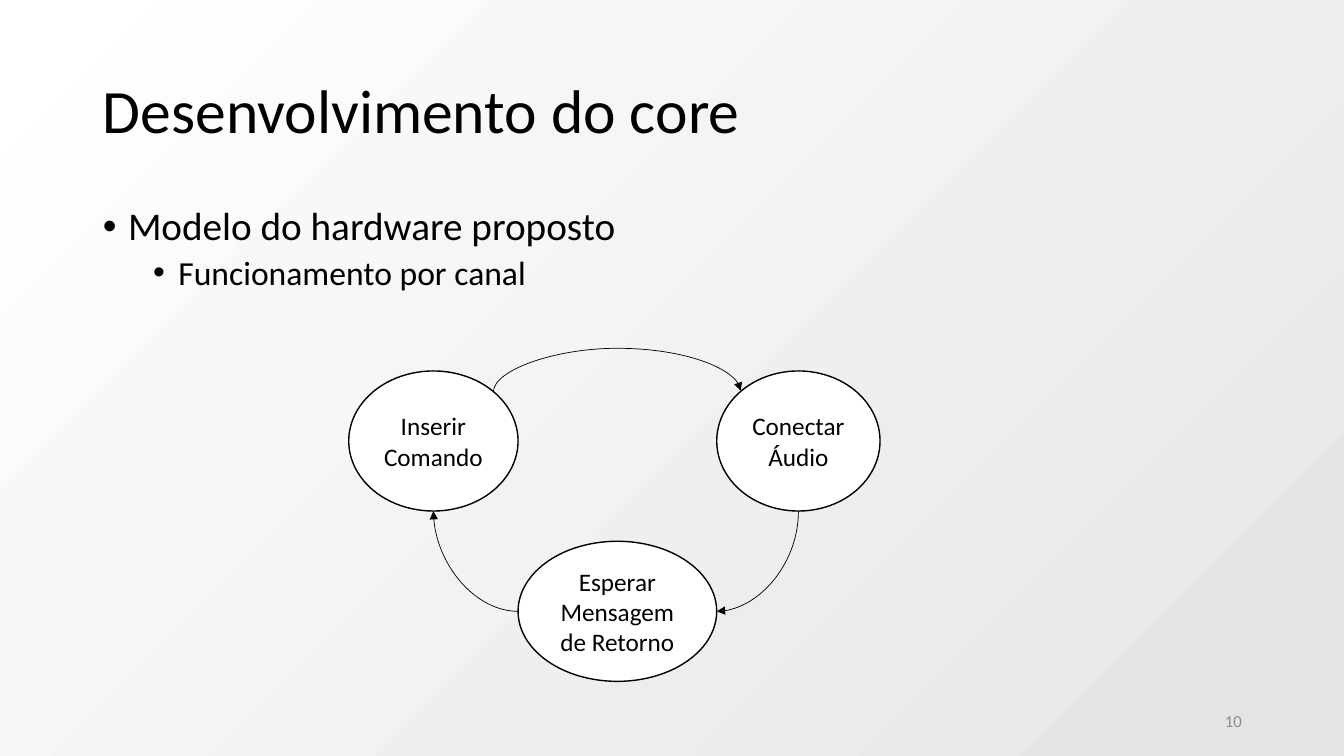
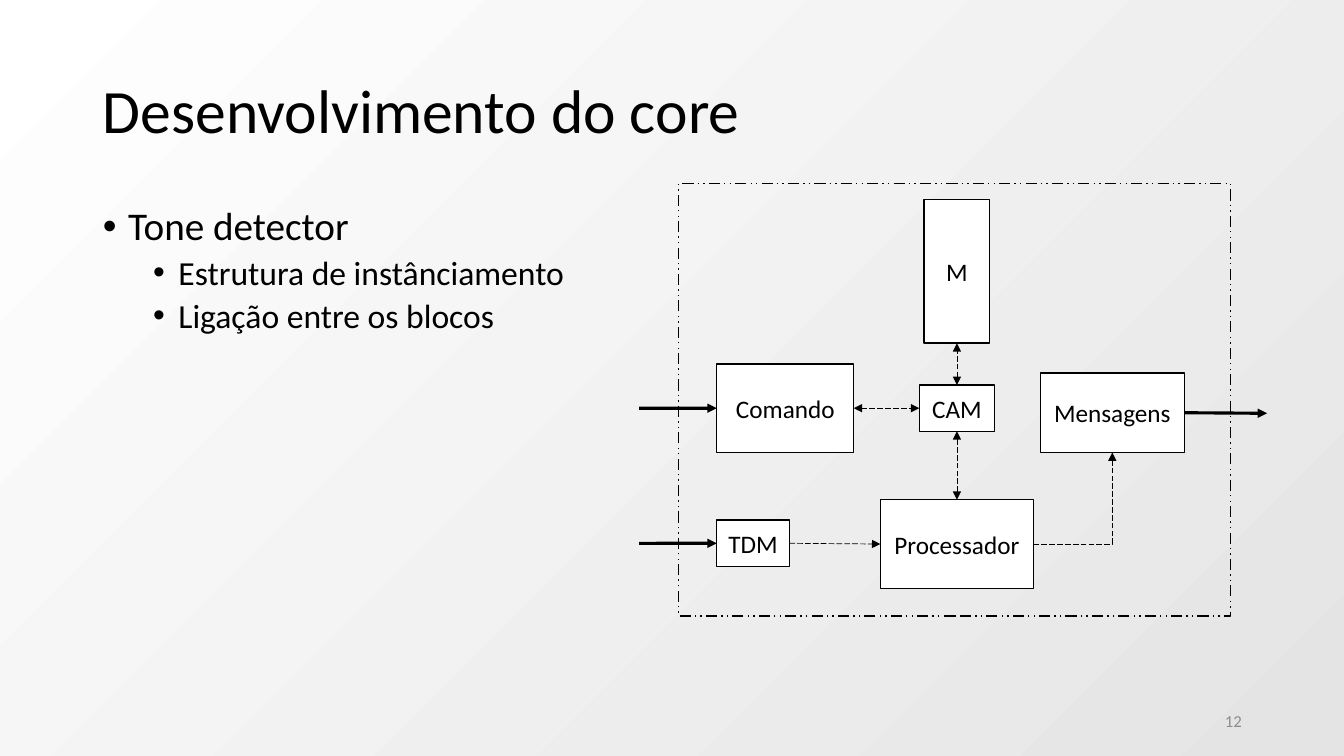
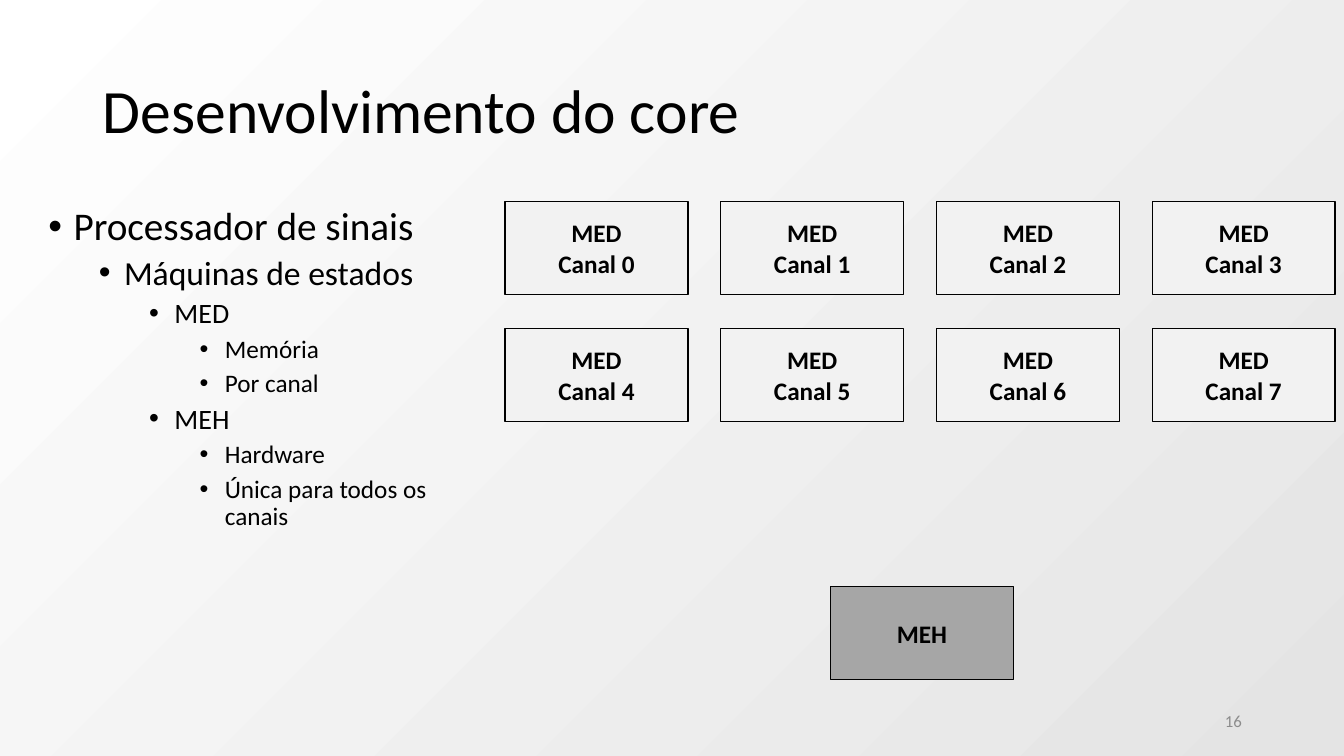
from lxml.etree import SubElement
from pptx import Presentation
from pptx.dml.color import RGBColor
from pptx.enum.dml import MSO_LINE as DASH
from pptx.enum.shapes import MSO_CONNECTOR as CONNECTOR, MSO_SHAPE as SHAPE
from pptx.enum.text import MSO_ANCHOR as ANCHOR, MSO_AUTO_SIZE as AUTO_SIZE, PP_ALIGN as ALIGN
from pptx.oxml.ns import qn
from pptx.util import Inches, Pt

BLACK, WHITE, PALE, MIDDLE, MUTED = "000000", "FFFFFF", "F2F2F2", "A6A6A6", "8C8C8C"
LEVEL_SIZES = (28, 24, 20, 18)
BODY_LEFT, BODY_TOP, BODY_HEIGHT = 6.9, 26.67, 63.47

# Connection sites in the order in which each preset shape numbers them
RECT_SITES = ("top", "left", "bottom", "right")
OVAL_SITES = ("top", "top left", "left", "bottom left",
              "bottom", "bottom right", "right", "top right")
OVAL_CORNER = 0.5 - 0.5 ** 1.5


def rgb(color):
    return RGBColor.from_string(color)


def site_point(shape, site):
    near = OVAL_CORNER if " " in site else 0
    across = near if "left" in site else 1 - near if "right" in site else 0.5
    down = near if "top" in site else 1 - near if "bottom" in site else 0.5
    return round(shape.left + across * shape.width), round(shape.top + down * shape.height)


def site_index(shape, site):
    oval = shape.auto_shape_type == SHAPE.OVAL
    return (OVAL_SITES if oval else RECT_SITES).index(site)


class Deck:
    """Shared style and current page; lengths are hundredths of the page's width and height."""

    font = "Calibri"
    title = "Desenvolvimento do core"

    def __init__(self):
        self.file = Presentation()
        self.file.slide_width, self.file.slide_height = Inches(13.33), Inches(7.5)
        fill = self.file.slide_master.background.fill
        fill.gradient()
        fill.gradient_angle = 315
        for stop, color, position in zip(fill.gradient_stops, (WHITE, "E4E4E4"), (0, 1)):
            stop.color.rgb = rgb(color)
            stop.position = position
        self.page = None

    def point(self, x, y):
        return round(self.file.slide_width * x / 100), round(self.file.slide_height * y / 100)

    def place(self, shape, left, top, width, height):
        shape.left, shape.top = self.point(left, top)
        shape.width, shape.height = self.point(width, height)

    def style(self, para, size, color=BLACK, align=ALIGN.LEFT, bold=False):
        para.alignment = align
        for span in para.runs:
            span.font.name, span.font.size, span.font.bold = self.font, Pt(size), bold
            span.font.color.rgb = rgb(color)

    def new_page(self, number):
        self.page = self.file.slides.add_slide(self.file.slide_layouts[1])
        heading = self.page.shapes.title
        self.place(heading, BODY_LEFT, 5.33, 86.25, 19.33)
        heading.text_frame.text = self.title
        heading.text_frame.vertical_anchor = ANCHOR.MIDDLE
        heading.text_frame.auto_size = AUTO_SIZE.NONE
        para = heading.text_frame.paragraphs[0]
        para.line_spacing = 0.9
        self.style(para, 44)

        footer = self.page.shapes.add_textbox(0, 0, 0, 0)
        self.place(footer, 70.65, 92.67, 22.5, 5.33)
        footer.text_frame.word_wrap = True
        footer.text_frame.vertical_anchor = ANCHOR.MIDDLE
        footer.text_frame.text = str(number)
        self.style(footer.text_frame.paragraphs[0], 12, MUTED, ALIGN.RIGHT)

    def bullets(self, items, width, left=BODY_LEFT, height=BODY_HEIGHT):
        """Fill the body with (level, text) items."""
        body = self.page.placeholders[1]
        self.place(body, left, BODY_TOP, width, height)
        frame = body.text_frame
        frame.text = "\n".join(text for _, text in items)
        frame.auto_size = AUTO_SIZE.NONE
        for para, (level, _) in zip(frame.paragraphs, items):
            para.level = level
            para.line_spacing = 0.9
            para.space_before = Pt(5 if level else 10)
            self.style(para, LEVEL_SIZES[level])
            props = para._p.get_or_add_pPr()
            props.set("marL", str(Inches(0.25 + 0.5 * level)))
            props.set("indent", str(Inches(-0.25)))
            SubElement(props, qn("a:buFont")).set("typeface", "Arial")
            SubElement(props, qn("a:buChar")).set("char", "•")

    def box(self, text, left, top, width, height, kind=SHAPE.RECTANGLE,
            fill=WHITE, bold=False, dash=None):
        box = self.page.shapes.add_shape(kind, 0, 0, 0, 0)
        self.place(box, left, top, width, height)
        box.shadow.inherit = False
        if fill:
            box.fill.solid()
            box.fill.fore_color.rgb = rgb(fill)
        else:
            box.fill.background()
        box.line.color.rgb, box.line.width = rgb(BLACK), Pt(1)
        if dash:
            box.line.dash_style = dash
        frame = box.text_frame
        frame.margin_left = frame.margin_right = Inches(0.05)
        frame.vertical_anchor = ANCHOR.MIDDLE
        frame.text = text
        for para in frame.paragraphs:
            self.style(para, 18, align=ALIGN.CENTER, bold=bold)
        return box

    def arrow(self, start, end, preset="line", weight=0.5, dash=None, heads=("tail",)):
        """Join two ends, each a (shape, site) pair or a free (x, y) point."""
        ends = (start, end)
        glued = [isinstance(place[1], str) for place in ends]
        points = [site_point(*place) if glue else self.point(*place)
                  for place, glue in zip(ends, glued)]
        arrow = self.page.shapes.add_connector(CONNECTOR.STRAIGHT, *points[0], *points[1])
        arrow.line.color.rgb, arrow.line.width = rgb(BLACK), Pt(weight)
        if dash:
            arrow.line.dash_style = dash
        props = arrow.element.spPr
        props.find(qn("a:prstGeom")).set("prst", preset)
        for head in heads:
            SubElement(props.find(qn("a:ln")), qn(f"a:{head}End")).set("type", "triangle")
        SubElement(props, qn("a:effectLst"))
        joints = arrow.element.nvCxnSpPr.cNvCxnSpPr
        for tag, place, glue in zip(("a:stCxn", "a:endCxn"), ends, glued):
            if glue:
                joint = SubElement(joints, qn(tag))
                joint.set("id", str(place[0].shape_id))
                joint.set("idx", str(site_index(*place)))
        return arrow

    def arch(self, start, end, rise):
        """Curve up and over between two ends of equal height."""
        arrow = self.arrow(start, end, "curvedConnector3")
        span, thin = arrow.width, Inches(0.01)
        arrow.left += (span - thin) // 2
        arrow.top -= span // 2
        arrow.width, arrow.height = thin, span
        props = arrow.element.spPr
        frame = props.find(qn("a:xfrm"))
        for name, value in (("rot", 90 * 60000), ("flipH", 1), ("flipV", 1)):
            frame.set(name, str(value))
        guide = SubElement(props.find(qn("a:prstGeom")).find(qn("a:avLst")), qn("a:gd"))
        guide.set("name", "adj1")
        guide.set("fmla", f"val {round(100000 * self.point(0, rise)[1] / thin)}")


def channel_cycle(deck):
    deck.new_page(10)
    deck.bullets([(0, "Modelo do hardware proposto"), (1, "Funcionamento por canal")], 86.25)
    top, height = 49.07, 18.53
    insert = deck.box("Inserir\nComando", 25.95, top, 12.6, height, SHAPE.OVAL)
    connect = deck.box("Conectar\nÁudio", 53.33, top, 12.15, height, SHAPE.OVAL)
    wait = deck.box("Esperar Mensagem de Retorno", 38.55, 71.6, 14.78, height, SHAPE.OVAL)
    deck.arch((insert, "top right"), (connect, "top left"), 5.87)
    deck.arrow((wait, "right"), (connect, "bottom"), "curvedConnector2", heads=("head",))
    deck.arrow((wait, "left"), (insert, "bottom"), "curvedConnector2")


def tone_detector(deck):
    deck.new_page(12)
    deck.bullets([(0, "Tone detector"), (1, "Estrutura de instânciamento"),
                  (1, "Ligação entre os blocos")], 39.9)
    left, large, small = 53.33, 11.73, 6.13
    command = deck.box("Comando", left, 48.13, 10.2, large)
    memory = deck.box("M", 68.76, 26.4, 4.88, 19)
    processor = deck.box("Processador", 65.5, 66.1, 11.4, large)
    cam = deck.box("CAM", 68.4, 50.93, 5.6, small)
    tdm = deck.box("TDM", left, 68.8, 5.4, small)
    messages = deck.box("Mensagens", 77.4, 49.33, 10.73, 10.53)

    both = ("head", "tail")
    for start, end in (((command, "right"), (cam, "left")),
                       ((processor, "top"), (cam, "bottom")),
                       ((cam, "top"), (memory, "bottom"))):
        deck.arrow(start, end, dash=DASH.LONG_DASH, heads=both)
    deck.arrow((tdm, "right"), (processor, "left"), dash=DASH.LONG_DASH)
    deck.arrow((processor, "right"), (messages, "bottom"), "bentConnector2", dash=DASH.LONG_DASH)
    for start, end in (((47.55, 54), (command, "left")),
                       ((47.55, 71.87), (tdm, "left")),
                       ((messages, "right"), (94.28, 54.67))):
        deck.arrow(start, end, weight=2.25)
    deck.box("", 50.48, 24.27, 41.1, 57.2, fill=None, dash=DASH.DASH_DOT_DOT)


def signal_processor(deck):
    deck.new_page(16)
    deck.bullets([(0, "Processador de sinais"), (1, "Máquinas de estados"),
                  (2, "MED"), (3, "Memória"), (3, "Por canal"),
                  (2, "MEH"), (3, "Hardware"), (3, "Única para todos os canais")],
                 29.9, left=2.85, height=60.67)
    width, height = 13.6, 12.27
    for channel in range(8):
        row, column = divmod(channel, 4)
        deck.box(f"MED\nCanal {channel}", 37.58 + 16.05 * column, BODY_TOP + 16.8 * row,
                 width, height, fill=PALE, bold=True)
    deck.box("MEH", 61.8, 77.6, width, height, fill=MIDDLE, bold=True)


def main():
    deck = Deck()
    for build in (channel_cycle, tone_detector, signal_processor):
        build(deck)
    deck.file.save("out.pptx")


if __name__ == "__main__":
    main()
